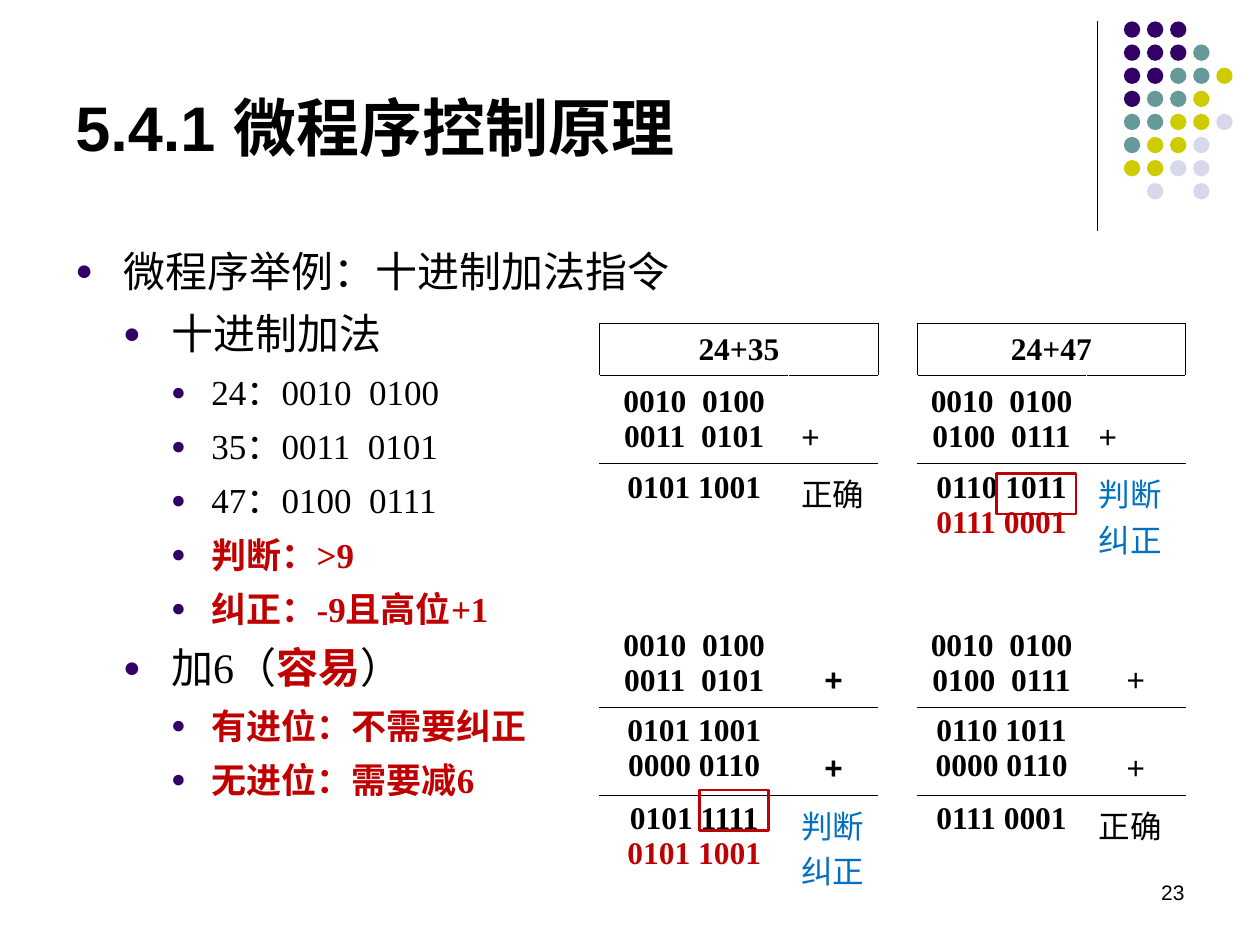
from typing import NamedTuple

from lxml import etree
from pptx import Presentation
from pptx import util as u
from pptx.dml.color import RGBColor
from pptx.enum import shapes, text
from pptx.oxml import ns

BLACK = RGBColor(0x00, 0x00, 0x00)
WHITE = RGBColor(0xFF, 0xFF, 0xFF)
RED = RGBColor(0xC0, 0x00, 0x00)
BLUE = RGBColor(0x00, 0x70, 0xC0)
PURPLE = RGBColor(0x33, 0x00, 0x66)
TEAL = RGBColor(0x66, 0x99, 0x99)
LIME = RGBColor(0xCC, 0xCC, 0x00)
LILAC = RGBColor(0xD8, 0xD8, 0xEC)

SANS, SERIF, HAN = "Arial", "Times New Roman", "Noto Sans CJK SC"
LEFT, MID, RIGHT = text.PP_ALIGN.LEFT, text.PP_ALIGN.CENTER, text.PP_ALIGN.RIGHT
TOP, CENTER, BOTTOM = (text.MSO_ANCHOR.TOP, text.MSO_ANCHOR.MIDDLE,
                       text.MSO_ANCHOR.BOTTOM)


class Level(NamedTuple):
    indent: float
    hang: float
    size: int


class Point(NamedTuple):
    level: int
    runs: list  # (words, is red and bold)


class Entry(NamedTuple):
    row: int
    col: int
    lines: list
    anchor: int = CENTER
    color: RGBColor = BLACK  # colour of the last line
    font: str = SERIF
    bold: bool = True
    align: int = MID


LEVELS = [Level(0.38, 0.38, 24), Level(0.76, 0.38, 24), Level(1.08, 0.32, 20)]

POINTS = [
    Point(0, [("微程序举例：十进制加法指令", False)]),
    Point(1, [("十进制加法", False)]),
    Point(2, [("24：0010  0100", False)]),
    Point(2, [("35：0011  0101", False)]),
    Point(2, [("47：0100  0111", False)]),
    Point(2, [("判断：>9", True)]),
    Point(2, [("纠正：-9且高位+1", True)]),
    Point(1, [("加6（", False), ("容易", True), ("）", False)]),
    Point(2, [("有进位：不需要纠正", True)]),
    Point(2, [("无进位：需要减6", True)]),
]

SUM_A = ["0010  0100", "0011  0101"]
SUM_B = ["0010  0100", "0100  0111"]
PLUS = {"anchor": BOTTOM, "font": SANS}
NOTE = {"font": HAN, "bold": False, "align": LEFT}

ENTRIES = [
    Entry(0, 0, ["24+35"]),
    Entry(0, 3, ["24+47"]),
    *[Entry(row, 0, SUM_A) for row in (1, 4)],
    *[Entry(row, 3, SUM_B) for row in (1, 4)],
    *[Entry(1, col, ["+"], bold=False, align=LEFT, **PLUS) for col in (1, 4)],
    *[Entry(row, col, ["+"], bold=col == 1, **PLUS)
      for row in (4, 5) for col in (1, 4)],
    Entry(2, 0, ["0101 1001"], TOP),
    Entry(2, 1, ["正确"], TOP, **NOTE),
    Entry(2, 3, ["0110 1011", "0111 0001"], TOP, RED),
    Entry(2, 4, ["判断纠正"], CENTER, BLUE, **NOTE),
    Entry(5, 0, ["0101 1001", "0000 0110"], TOP),
    Entry(5, 3, ["0110 1011", "0000 0110"], TOP),
    Entry(6, 0, ["0101 1111", "0101 1001"], TOP, RED),
    Entry(6, 1, ["判断纠正"], TOP, BLUE, **NOTE),
    Entry(6, 3, ["0111 0001"], TOP),
    Entry(6, 4, ["正确"], TOP, **NOTE),
]

COLS = [1.5, 0.71, 0.31, 1.34, 0.79]
ROWS = [0.41, 0.7, 0.83, 0.4, 0.7, 0.7, 0.83]  # two-line notes need 0.83
RULES = {0, 1, 2, 5, 6}  # black lines, counted from the table's top
GAP = 2  # empty column between the two sums

DOTS = ["PPP", "PPPT", "PPTTY", "PTTY", "TTYYL", "TYYL", "YYLL", " L L"]
HUES = {"P": PURPLE, "T": TEAL, "Y": LIME, "L": LILAC}


def add_node(parent, tag: str, **attrs: str):
    return etree.SubElement(parent, ns.qn(tag), attrs)


def put(para, words: str, *, size: int = 18, font: str = SERIF,
        color: RGBColor = BLACK, bold: bool = False, align: int = LEFT) -> None:
    """Add a run of text to a paragraph."""
    para.alignment = align
    run = para.add_run()
    run.text = words
    run.font.size = u.Pt(size)
    run.font.bold = bold
    run.font.color.rgb = color
    run.font.name = font
    add_node(run.font._element, "a:ea", typeface=HAN)


def next_para(frame, index: int):
    return frame.add_paragraph() if index else frame.paragraphs[0]


def add_box(slide, x: float, y: float, w: float, h: float, anchor: int = TOP):
    box = slide.shapes.add_textbox(*map(u.Inches, (x, y, w, h)))
    frame = box.text_frame
    frame.word_wrap = True
    frame.vertical_anchor = anchor
    return frame


def draw_dots(slide) -> None:
    group = slide.shapes.add_group_shape()
    for row, marks in enumerate(DOTS):
        for col, mark in enumerate(marks):
            if mark == " ":
                continue
            x, y = 8.92 + col * 11 / 60, 0.17 + row * 11 / 60
            dot = group.shapes.add_shape(
                shapes.MSO_SHAPE.OVAL, *map(u.Inches, (x, y, 0.13, 0.13)))
            dot.shadow.inherit = False
            dot.fill.solid()
            dot.fill.fore_color.rgb = HUES[mark]
            dot.line.fill.background()


def draw_points(slide) -> None:
    frame = add_box(slide, 0.5, 1.88, 9, 4.82)
    for index, point in enumerate(POINTS):
        level = LEVELS[point.level]
        para = next_para(frame, index)
        para.level = point.level
        para.line_spacing = 1.04
        para.space_before = u.Pt(6 if index else 0)
        props = para._p.get_or_add_pPr()
        props.set("marL", str(u.Inches(level.indent)))
        props.set("indent", str(-u.Inches(level.hang)))
        add_node(add_node(props, "a:buClr"), "a:srgbClr", val=str(PURPLE))
        add_node(props, "a:buSzPct", val="70000")
        add_node(props, "a:buFont", typeface=SANS)
        add_node(props, "a:buChar", char="●")
        for words, strong in point.runs:
            put(para, words, size=level.size, bold=strong,
                color=RED if strong else BLACK)


def set_edges(cell, row: int, col: int) -> None:
    head, ruled = row == 0, col != GAP
    edges = {"L": head, "R": head, "T": ruled and row in RULES,
             "B": ruled and row + 1 in RULES}
    props = cell._tc.get_or_add_tcPr()
    for side, dark in edges.items():
        edge = add_node(props, f"a:ln{side}", w=str(u.Pt(0.45)))
        fill = add_node(edge, "a:solidFill")
        add_node(fill, "a:srgbClr", val=str(BLACK if dark else WHITE))


def draw_table(slide) -> None:
    size = (4.76, 2.57, sum(COLS), sum(ROWS))
    table = slide.shapes.add_table(
        len(ROWS), len(COLS), *map(u.Inches, size)).table
    table.first_row = table.horz_banding = False
    for line, width in zip(table.columns, COLS):
        line.width = u.Inches(width)
    for row, height in enumerate(ROWS):
        table.rows[row].height = u.Inches(height)
        for col in range(len(COLS)):
            cell = table.cell(row, col)
            set_edges(cell, row, col)
            cell.fill.solid()
            cell.fill.fore_color.rgb = WHITE
    for col in (0, 3):
        table.cell(0, col).merge(table.cell(0, col + 1))
    for item in ENTRIES:
        cell = table.cell(item.row, item.col)
        cell.vertical_anchor = item.anchor
        if item.anchor == BOTTOM:
            cell.margin_bottom = u.Inches(0.07)
        for index, words in enumerate(item.lines):
            last = index == len(item.lines) - 1
            put(next_para(cell.text_frame, index), words, font=item.font,
                color=item.color if last else BLACK, bold=item.bold,
                align=item.align)


def draw_frame(slide, x: float, y: float, w: float, h: float) -> None:
    rect = slide.shapes.add_shape(
        shapes.MSO_SHAPE.RECTANGLE, *map(u.Inches, (x, y, w, h)))
    rect.shadow.inherit = False
    rect.fill.background()
    rect.line.color.rgb = RED
    rect.line.width = u.Pt(1.5)


def main() -> None:
    deck = Presentation()
    deck.slide_width, deck.slide_height = u.Inches(10), u.Inches(7.5)
    slide = deck.slides.add_slide(deck.slide_layouts[6])
    # Corner ornament
    rule = slide.shapes.add_connector(
        shapes.MSO_CONNECTOR.STRAIGHT, *map(u.Inches, (8.71, 0.17, 8.71, 1.83)))
    rule.line.color.rgb = BLACK
    rule.line.width = u.Pt(0.75)
    add_node(rule._element.spPr, "a:effectLst")
    draw_dots(slide)
    # Title, points and sums
    title = add_box(slide, 0.5, 0.29, 8.25, 1.42, CENTER)
    put(title.paragraphs[0], "5.4.1 微程序控制原理", size=36, font=SANS, bold=True)
    draw_points(slide)
    draw_table(slide)
    # Page number
    page = add_box(slide, 7.17, 6.83, 2.33, 0.5, CENTER)
    put(page.paragraphs[0], "23", size=12, font=SANS, align=RIGHT)
    # Digits to check
    draw_frame(slide, 7.91, 3.76, 0.63, 0.32)
    draw_frame(slide, 5.55, 6.27, 0.55, 0.32)
    deck.save("out.pptx")


if __name__ == "__main__":
    main()
